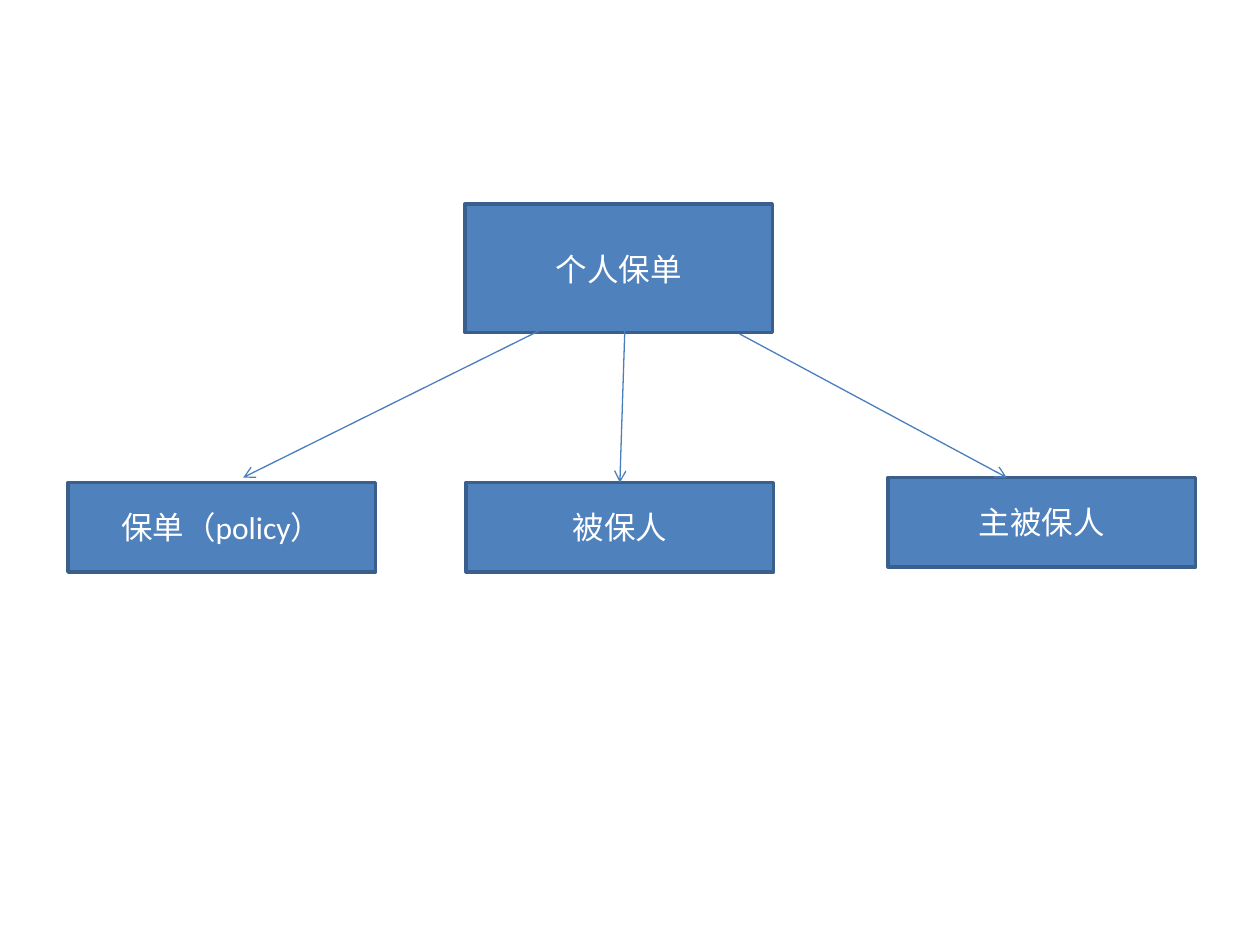
from lxml import etree
from pptx import Presentation
from pptx.dml.color import RGBColor
from pptx.enum.shapes import MSO_CONNECTOR, MSO_SHAPE
from pptx.enum.text import MSO_ANCHOR, PP_ALIGN
from pptx.oxml.ns import qn
from pptx.util import Inches, Pt

BOX_FILL = RGBColor(0x4F, 0x81, 0xBD)
BOX_LINE = RGBColor(0x3A, 0x5F, 0x8C)
ARROW_LINE = RGBColor(0x4B, 0x7E, 0xBC)
WHITE = RGBColor(0xFF, 0xFF, 0xFF)

BOX_WIDTH = 2.44
CHILD_HEIGHT = 0.71
FONT_FORMAT = {"name": "Calibri", "size": Pt(18)}

presentation = Presentation()
presentation.slide_width = Inches(10)
presentation.slide_height = Inches(7.5)
slide = presentation.slides.add_slide(presentation.slide_layouts[6])

# Boxes: text, left, top, height
boxes = [
    ("个人保单", 3.69, 1.62, 1.02),
    ("保单（policy）", 0.54, 3.83, CHILD_HEIGHT),
    ("被保人", 3.7, 3.83, CHILD_HEIGHT),
    ("主被保人", 7.05, 3.79, CHILD_HEIGHT),
]
for text, left, top, height in boxes:
    box = slide.shapes.add_shape(
        MSO_SHAPE.RECTANGLE,
        Inches(left), Inches(top), Inches(BOX_WIDTH), Inches(height))
    box.shadow.inherit = False
    box.fill.solid()
    box.fill.fore_color.rgb = BOX_FILL
    box.line.color.rgb = BOX_LINE
    box.line.width = Pt(2)
    box.text_frame.vertical_anchor = MSO_ANCHOR.MIDDLE
    paragraph = box.text_frame.paragraphs[0]
    paragraph.alignment = PP_ALIGN.CENTER
    run = paragraph.add_run()
    run.text = text
    for attribute, value in FONT_FORMAT.items():
        setattr(run.font, attribute, value)
    run.font.color.rgb = WHITE

# Arrows from the personal policy to its parts: start, end
arrows = [
    ((4.29, 2.62), (1.93, 3.79)),
    ((4.96, 2.59), (4.92, 3.83)),
    ((5.87, 2.65), (7.99, 3.79)),
]
for start, end in arrows:
    arrow = slide.shapes.add_connector(
        MSO_CONNECTOR.STRAIGHT, *map(Inches, start + end))
    arrow.line.color.rgb = ARROW_LINE
    arrow.line.width = Pt(0.75)
    properties = arrow.element.spPr
    etree.SubElement(properties.get_or_add_ln(), qn("a:tailEnd"), type="arrow")
    etree.SubElement(properties, qn("a:effectLst"))

presentation.save("out.pptx")
